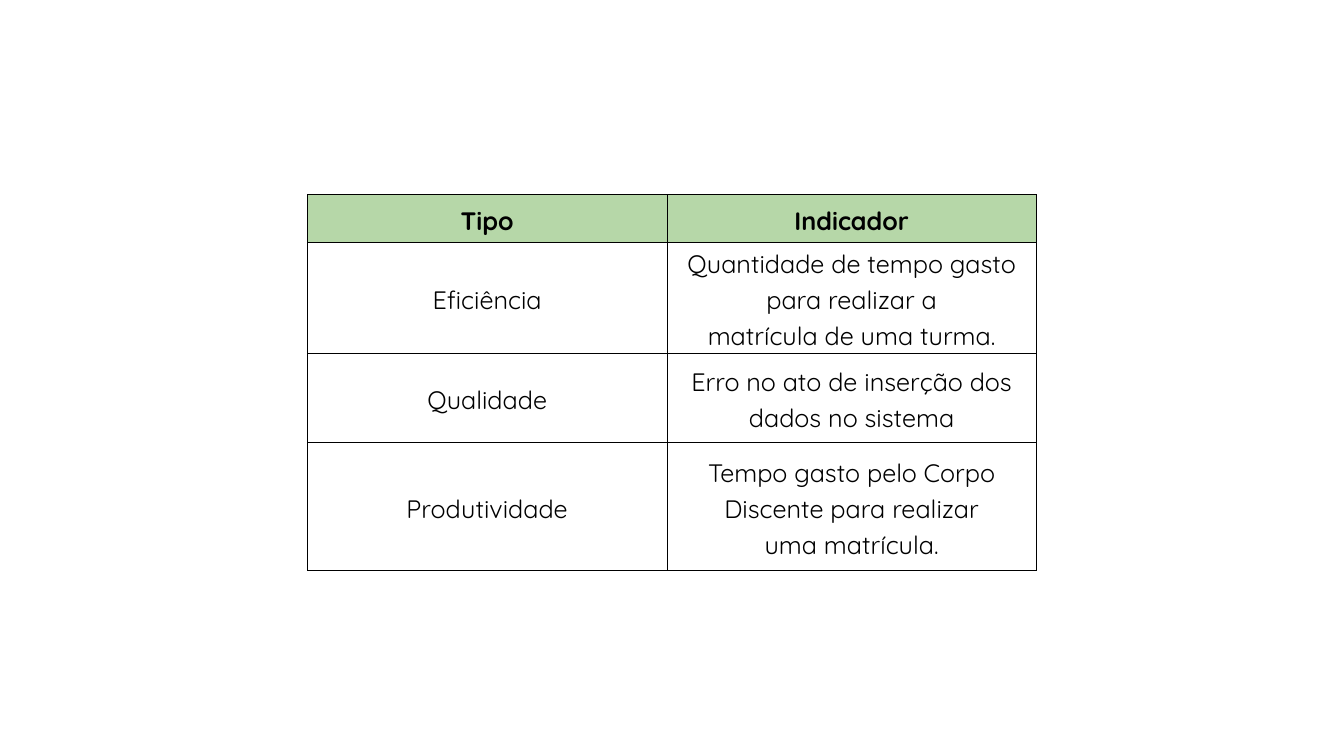
import pptx
import pptx.dml.color
import pptx.enum.text
import pptx.oxml
import pptx.oxml.ns
import pptx.util
from pptx.util import Cm

BLACK = pptx.dml.color.RGBColor(0x00, 0x00, 0x00)
WHITE = pptx.dml.color.RGBColor(0xFF, 0xFF, 0xFF)
HEADER_GREEN = pptx.dml.color.RGBColor(0xB6, 0xD7, 0xA8)

FONT = "Quicksand"
BORDER_WIDTH = pptx.util.Pt(0.75)

COLUMN_WIDTHS = [Cm(18.11), Cm(18.62)]
ROW_HEIGHTS = [Cm(2.41), Cm(4.93), Cm(4.52), Cm(6.43)]
# A line break in a text starts a new paragraph.
INDICATORS = [
    ("Tipo", "Indicador"),
    ("Eficiência", "Quantidade de tempo gasto para realizar a\nmatrícula de uma turma."),
    ("Qualidade", "Erro no ato de inserção dos dados no sistema"),
    ("Produtividade", "Tempo gasto pelo Corpo Discente para realizar\numa matrícula."),
]


def write_text(text_frame, text, size=36, bold=False, color=BLACK, line_spacing=1.15,
               alignment=pptx.enum.text.PP_ALIGN.CENTER):
    text_frame.text = text
    for paragraph in text_frame.paragraphs:
        paragraph.alignment = alignment
        paragraph.line_spacing = line_spacing
        for run in paragraph.runs:
            run.font.name = FONT
            run.font.size = pptx.util.Pt(size)
            run.font.bold = bold
            run.font.color.rgb = color


def add_borders(cell):
    properties = cell._tc.get_or_add_tcPr()
    for side in ("lnL", "lnR", "lnT", "lnB"):
        properties.append(pptx.oxml.parse_xml(
            f'<a:{side} {pptx.oxml.ns.nsdecls("a")} w="{BORDER_WIDTH}">'
            f'<a:solidFill><a:srgbClr val="{BLACK}"/></a:solidFill></a:{side}>'))


def format_cell(cell, text, is_header):
    cell.margin_left = cell.margin_right = Cm(0.08)
    cell.margin_top = cell.margin_bottom = Cm(0.05)
    cell.vertical_anchor = pptx.enum.text.MSO_ANCHOR.MIDDLE
    write_text(cell.text_frame, text, bold=is_header)
    add_borders(cell)
    if is_header:
        cell.fill.solid()
        cell.fill.fore_color.rgb = HEADER_GREEN
    else:
        cell.fill.background()


def add_indicator_table(slide, left, top):
    table = slide.shapes.add_table(
        len(ROW_HEIGHTS), len(COLUMN_WIDTHS), left, top,
        sum(COLUMN_WIDTHS), sum(ROW_HEIGHTS)).table
    table.first_row = False
    table.horz_banding = False
    for column, width in zip(table.columns, COLUMN_WIDTHS):
        column.width = width
    for row_index, (row, height) in enumerate(zip(table.rows, ROW_HEIGHTS)):
        row.height = height
        for cell, text in zip(row.cells, INDICATORS[row_index]):
            format_cell(cell, text, is_header=row_index == 0)


def main():
    presentation = pptx.Presentation()
    presentation.slide_width = Cm(67.72)
    presentation.slide_height = Cm(38.1)
    slide = presentation.slides.add_slide(presentation.slide_layouts[6])
    slide.background.fill.solid()
    slide.background.fill.fore_color.rgb = WHITE
    add_indicator_table(slide, left=Cm(15.49), top=Cm(9.8))
    presentation.save("out.pptx")


if __name__ == "__main__":
    main()
